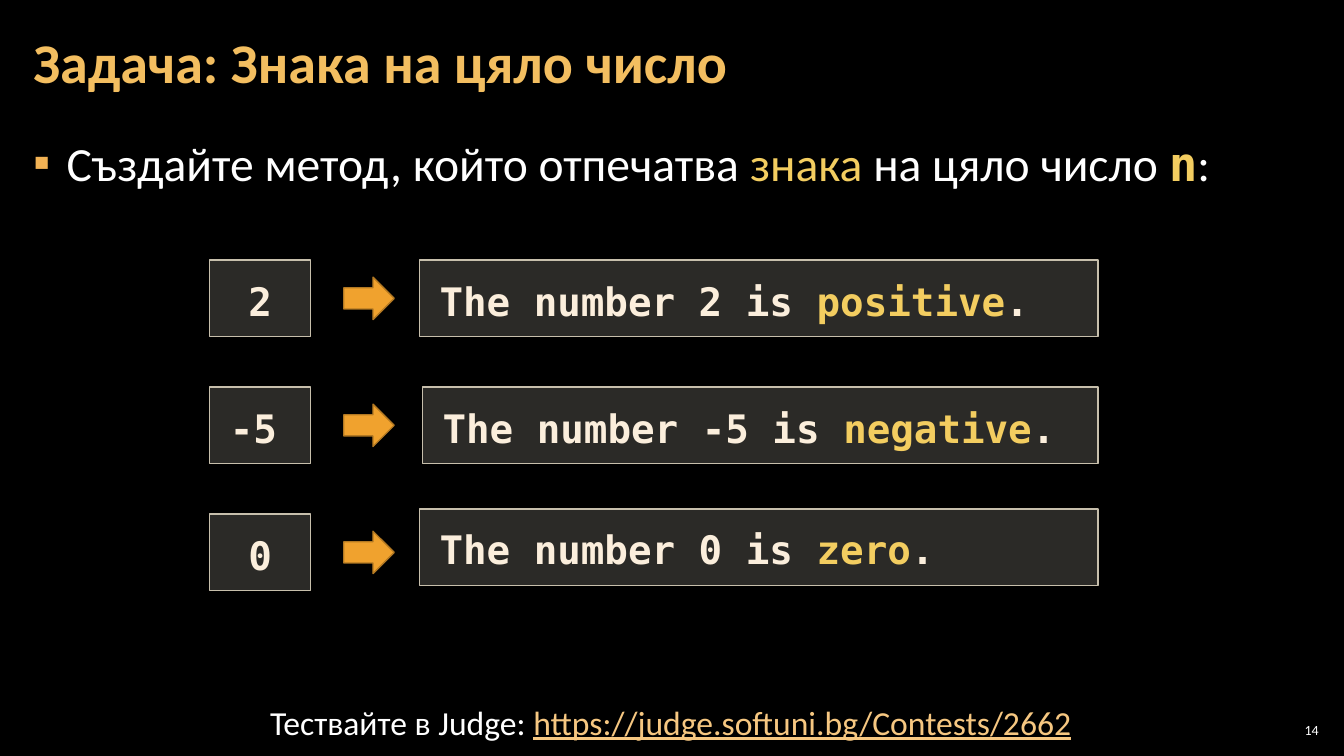
from dataclasses import dataclass

from lxml import etree
from pptx import Presentation
from pptx.dml.color import RGBColor
from pptx.enum.shapes import MSO_SHAPE
from pptx.enum.text import MSO_ANCHOR, MSO_AUTO_SIZE, PP_ALIGN
from pptx.oxml.ns import qn
from pptx.util import Inches, Pt

RECTANGLE, RIGHT_ARROW = MSO_SHAPE.RECTANGLE, MSO_SHAPE.RIGHT_ARROW
TOP, MIDDLE = MSO_ANCHOR.TOP, MSO_ANCHOR.MIDDLE
NO_FIT, GROW = MSO_AUTO_SIZE.NONE, MSO_AUTO_SIZE.SHAPE_TO_FIT_TEXT
LEFT, CENTER, RIGHT = PP_ALIGN.LEFT, PP_ALIGN.CENTER, PP_ALIGN.RIGHT


@dataclass(frozen=True)
class Theme:
    sans: str = "Calibri"
    mono: str = "DejaVu Sans Mono"
    background: str = "000000"
    title: str = "F3BE60"
    text: str = "FFFFFF"
    accent: str = "F3CD60"
    bullet: str = "F2B254"
    link: str = "F6C781"
    code: str = "FBEEDC"
    box: str = "D9D5C7"
    box_line: str = "C7BFAC"
    arrow: str = "F0A22E"
    arrow_line: str = "B27822"
    title_size: int = 40
    body_size: int = 34
    code_size: int = 28
    footer_size: int = 24
    number_size: int = 10


THEME = Theme()
SLIDE_WIDTH, SLIDE_HEIGHT = 13.33, 7.5
MARGIN = 0.21
CONTENT_WIDTH = SLIDE_WIDTH - 2 * MARGIN
FIRST_ROW, ROW_PITCH, ROW_HEIGHT = 2.58, 1.26, 0.76
INPUT_LEFT, INPUT_WIDTH = 2.08, 1
ARROW_LEFT, ARROW_WIDTH, ARROW_HEIGHT = 3.41, 0.5, 0.42
OUTPUT_LEFT, OUTPUT_RIGHT = 4.16, 10.89
TEXT_INSETS = (0.12, 0.04)
CODE_INSETS = (0.2, 0.12)

EXAMPLES = [
    ("2", "positive", CENTER, 0, 0),
    ("-5", "negative", LEFT, 0.03, 0),
    ("0", "zero", CENTER, 0, -0.05),
]


def color(value):
    return RGBColor.from_string(value)


def place(shape, left, top, width, height):
    shape.left, shape.top = Inches(left), Inches(top)
    shape.width, shape.height = Inches(width), Inches(height)


def setup_frame(frame, insets, anchor, fit, wrap=True):
    frame.margin_left = frame.margin_right = Inches(insets[0])
    frame.margin_top = frame.margin_bottom = Inches(insets[1])
    frame.vertical_anchor = anchor
    frame.auto_size = fit
    frame.word_wrap = wrap


def write(frame, pieces, size, font, align=LEFT, spacing=1.0):
    paragraph = frame.paragraphs[0]
    paragraph.alignment = align
    paragraph.line_spacing = spacing
    paragraph.space_before = Pt(0)
    for text, tint in pieces:
        run = paragraph.add_run()
        run.text = text
        run.font.name = font
        run.font.size = Pt(size)
        run.font.bold = font == THEME.mono
        run.font.color.rgb = color(tint)
    return paragraph


def add_bullet(paragraph, indent):
    properties = paragraph._p.get_or_add_pPr()
    properties.set("marL", str(Inches(indent)))
    properties.set("indent", str(-Inches(indent)))
    tint = etree.SubElement(properties, qn("a:buClr"))
    etree.SubElement(tint, qn("a:srgbClr")).set("val", THEME.bullet)
    etree.SubElement(properties, qn("a:buFont")).set("typeface", THEME.sans)
    etree.SubElement(properties, qn("a:buChar")).set("char", "▪")


def add_filled(slide, kind, bounds, fill, line):
    shape = slide.shapes.add_shape(kind, 0, 0, 0, 0)
    place(shape, *bounds)
    shape.shadow.inherit = False
    shape.fill.solid()
    shape.fill.fore_color.rgb = color(fill)
    shape.line.color.rgb = color(line)
    shape.line.width = Pt(1)
    return shape


def add_code_box(slide, bounds, pieces, align=LEFT):
    box = add_filled(slide, RECTANGLE, bounds, THEME.box, THEME.box_line)
    fill_color = box._element.spPr.find(qn("a:solidFill"))[0]
    etree.SubElement(fill_color, qn("a:alpha")).set("val", "20000")
    setup_frame(box.text_frame, CODE_INSETS, TOP, GROW)
    write(box.text_frame, pieces, THEME.code_size, THEME.mono, align, 1.1)


def add_example(slide, row, number, sign, align, shift_x, shift_y):
    top = FIRST_ROW + row * ROW_PITCH
    add_code_box(slide, (INPUT_LEFT, top, INPUT_WIDTH, ROW_HEIGHT),
                 [(number, THEME.code)], align)
    arrow_top = top + (ROW_HEIGHT - ARROW_HEIGHT) / 2
    add_filled(slide, RIGHT_ARROW, (ARROW_LEFT, arrow_top, ARROW_WIDTH, ARROW_HEIGHT),
               THEME.arrow, THEME.arrow_line)
    left = OUTPUT_LEFT + shift_x
    add_code_box(slide, (left, top + shift_y, OUTPUT_RIGHT - left, ROW_HEIGHT),
                 [(f"The number {number} is ", THEME.code), (sign, THEME.accent),
                  (".", THEME.code)])


def add_label(slide, bounds, pieces, size, insets, anchor, fit, wrap, align):
    label = slide.shapes.add_textbox(0, 0, 0, 0)
    place(label, *bounds)
    setup_frame(label.text_frame, insets, anchor, fit, wrap)
    return write(label.text_frame, pieces, size, THEME.sans, align)


def fill_title(title):
    place(title, MARGIN, 0.04, CONTENT_WIDTH, 1.21)
    setup_frame(title.text_frame, TEXT_INSETS, MIDDLE, NO_FIT)
    heading = write(title.text_frame, [("Задача: Знака на цяло число", THEME.title)],
                    THEME.title_size, THEME.sans, spacing=0.9)
    heading.runs[0].font.bold = True


def fill_body(body):
    place(body, MARGIN, 1.26, CONTENT_WIDTH, 6.09)
    setup_frame(body.text_frame, TEXT_INSETS, TOP, NO_FIT)
    task = write(body.text_frame, [
        ("Създайте метод, който отпечатва ", THEME.text),
        ("знака ", THEME.accent),
        ("на цяло число ", THEME.text),
        ("n", THEME.accent),
        (":", THEME.text),
    ], THEME.body_size, THEME.sans, spacing=1.05)
    task.space_after = Pt(6)
    add_bullet(task, 0.33)
    variable = task.runs[3].font
    variable.name, variable.bold = THEME.mono, True


def main():
    deck = Presentation()
    deck.slide_width, deck.slide_height = Inches(SLIDE_WIDTH), Inches(SLIDE_HEIGHT)
    slide = deck.slides.add_slide(deck.slide_layouts[1])
    slide.background.fill.solid()
    slide.background.fill.fore_color.rgb = color(THEME.background)
    fill_title(slide.shapes.title)
    fill_body(slide.placeholders[1])
    for row, example in enumerate(EXAMPLES):
        add_example(slide, row, *example)
    add_label(slide, (12.65, 7.14, 0.47, 0.21), [("14", THEME.text)],
              THEME.number_size, (0.04, 0.04), MIDDLE, NO_FIT, True, RIGHT)
    judge = add_label(slide, (2.58, 6.91, 8.23, 0.5),
                      [("Тествайте в Judge: ", THEME.text),
                       ("https://judge.softuni.bg/Contests/2662", THEME.link)],
                      THEME.footer_size, (0.1, 0.05), TOP, GROW, False, LEFT)
    judge.runs[1].font.underline = True
    deck.save("out.pptx")


if __name__ == "__main__":
    main()
